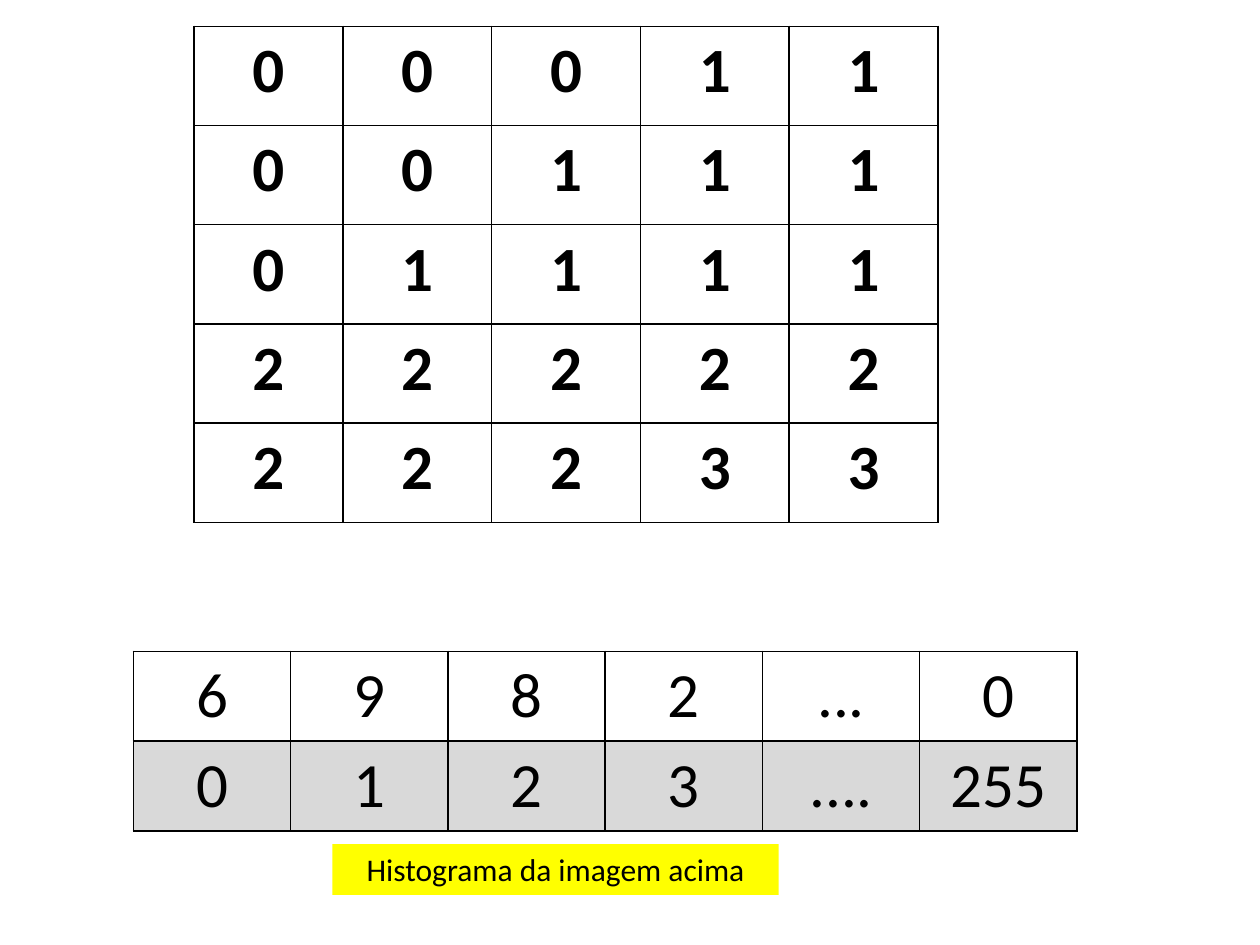
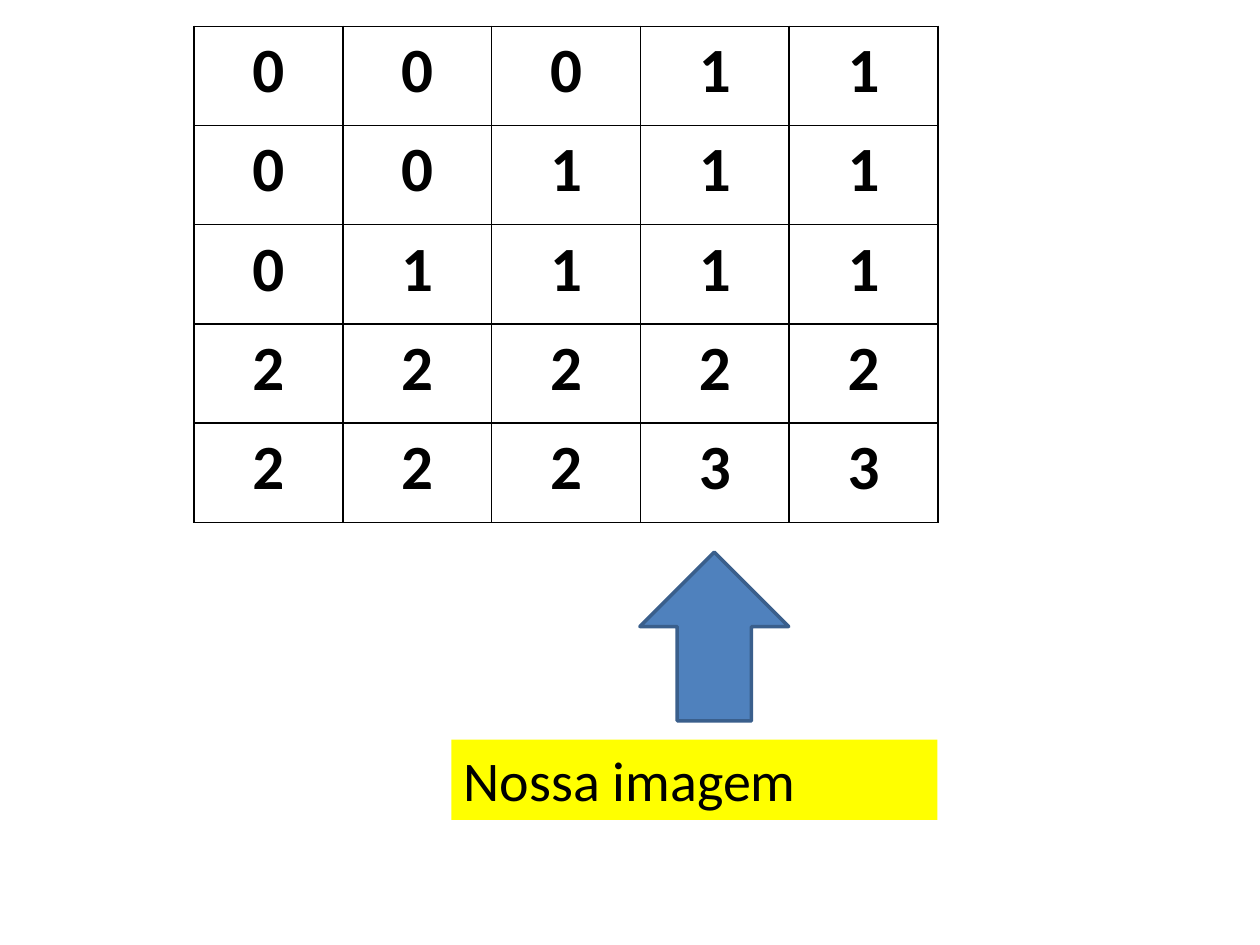
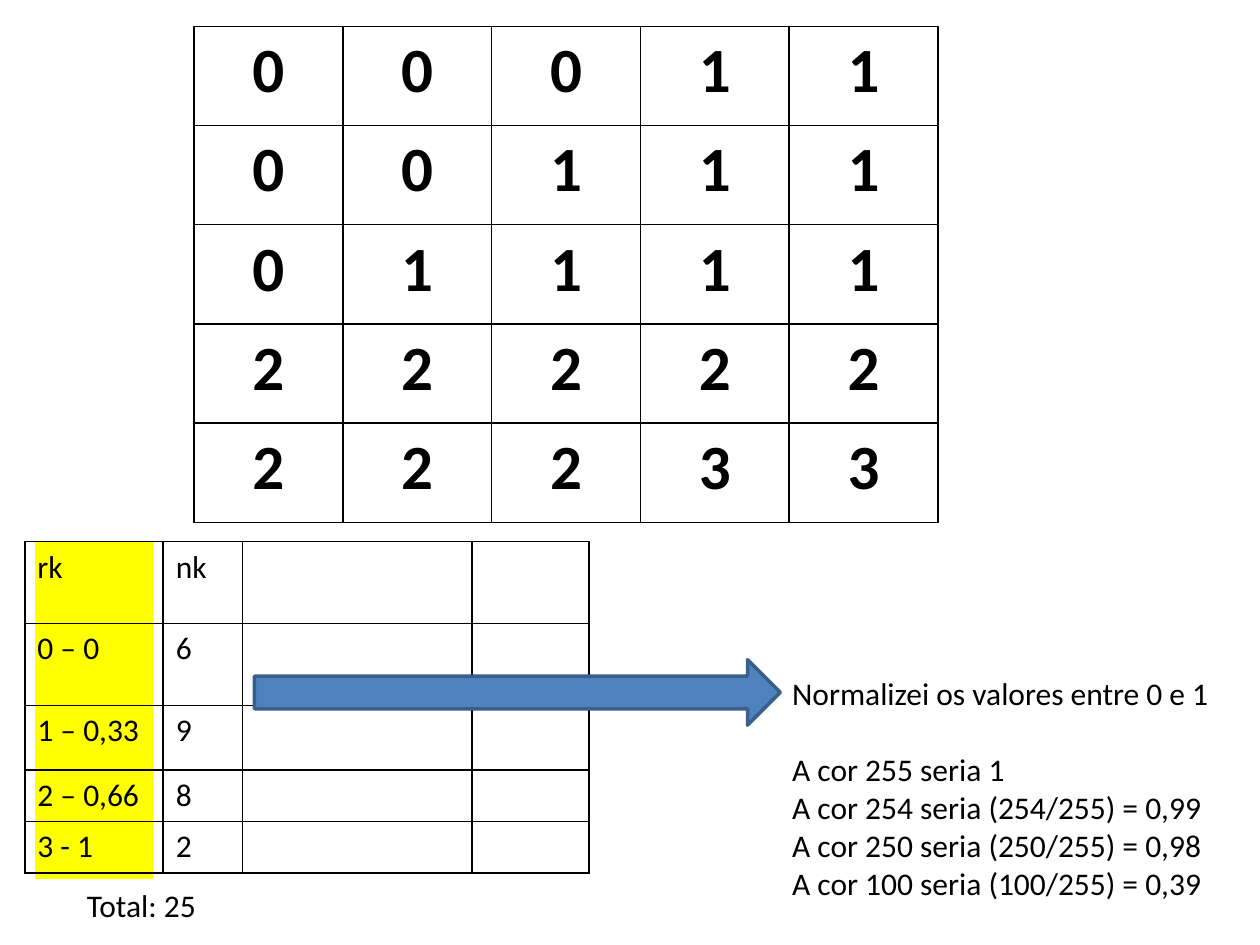
from dataclasses import dataclass

from lxml import etree
from pptx import Presentation
from pptx.dml.color import RGBColor
from pptx.enum.shapes import MSO_SHAPE
from pptx.enum.text import PP_ALIGN
from pptx.oxml.ns import qn
from pptx.util import Cm, Pt

RECT, ARROW = MSO_SHAPE.RECTANGLE, MSO_SHAPE.RIGHT_ARROW
LEFT, MID = PP_ALIGN.LEFT, PP_ALIGN.CENTER
BLANK = 6


@dataclass(frozen=True)
class Theme:
    font: str = "Calibri"
    ink: str = "000000"
    mark: str = "FFFF00"
    grey: str = "D9D9D9"
    blue: str = "4F81BD"
    edge: str = "3A5F8C"
    big: int = 36
    mid: int = 32
    small: int = 18
    line: int = 22


THEME = Theme()

PIXELS = ["00011", "00111", "01111", "22222", "22233"]
COUNTS = [
    ["6", "9", "8", "2", "...", "0"],
    ["0", "1", "2", "3", "....", "255"],
]
LEVELS = [
    ["rk", "nk", "", ""],
    ["0 – 0", "6", "", ""],
    ["1 – 0,33", "9", "", ""],
    ["2 – 0,66", "8", "", ""],
    ["3 - 1", "2", "", ""],
]
LEVEL_COLS = [2.79, 1.6, 4.62, 2.36]
LEVEL_ROWS = [1.65, 1.65, 1.3, 1.04, 1.04]
NOTES = [
    "Normalizei os valores entre 0 e 1",
    "A cor 255 seria 1",
    "A cor 254 seria (254/255) = 0,99",
    "A cor 250 seria (250/255) = 0,98",
    "A cor 100 seria (100/255) = 0,39",
]


def color(code):
    return RGBColor.from_string(code)


def style(para, size, align=LEFT, bold=False):
    para.alignment = align
    font = para.font
    font.name, font.size, font.bold = THEME.font, Pt(size), bold
    font.color.rgb = color(THEME.ink)


def border(cell):
    props = cell._tc.get_or_add_tcPr()
    for side in ("lnL", "lnR", "lnT", "lnB"):
        line = etree.SubElement(props, qn(f"a:{side}"), w=str(Pt(1)))
        fill = etree.SubElement(line, qn("a:solidFill"))
        etree.SubElement(fill, qn("a:srgbClr"), val=THEME.ink)


def add_grid(slide, data, left, top, cols, rows, size,
             align=LEFT, bold=False, fills=None):
    """Draw a ruled table; fills maps a row number to its colour."""
    fills = fills or {}
    frame = slide.shapes.add_table(len(rows), len(cols), Cm(left), Cm(top),
                                   Cm(sum(cols)), Cm(sum(rows)))
    table = frame.table
    table.first_row = table.horz_banding = False
    for col, width in zip(table.columns, cols):
        col.width = Cm(width)
    for row, height in zip(table.rows, rows):
        row.height = Cm(height)
    for r, line in enumerate(data):
        for c, text in enumerate(line):
            cell = table.cell(r, c)
            cell.text = text
            style(cell.text_frame.paragraphs[0], size, align, bold)
            border(cell)
            if r in fills:
                cell.fill.solid()
                cell.fill.fore_color.rgb = color(fills[r])
            else:
                cell.fill.background()


def add_text(slide, lines, box, size, align=LEFT, fill=None):
    shape = slide.shapes.add_textbox(*map(Cm, box))
    if fill:
        shape.fill.solid()
        shape.fill.fore_color.rgb = color(fill)
    frame = shape.text_frame
    frame.word_wrap = True
    frame.text = "\n".join(lines)
    for para in frame.paragraphs:
        style(para, size, align)
    return frame


def add_block(slide, kind, box, fill, edge=None, turn=0):
    shape = slide.shapes.add_shape(kind, *map(Cm, box))
    shape.shadow.inherit = False
    shape.rotation = turn
    shape.fill.solid()
    shape.fill.fore_color.rgb = color(fill)
    if edge:
        shape.line.color.rgb = color(edge)
        shape.line.width = Pt(2)
    else:
        shape.line.fill.background()


def add_arrow(slide, box, turn=0):
    add_block(slide, ARROW, box, THEME.blue, THEME.edge, turn)


def add_pixels(slide):
    add_grid(slide, PIXELS, 3.91, 0.53, [3] * 5, [2] * 5,
             THEME.big, MID, bold=True)


def histogram(slide):
    add_pixels(slide)
    add_grid(slide, COUNTS, 2.69, 13.13, [3.17] * 6, [1.8] * 2,
             THEME.big, MID, fills={1: THEME.grey})
    add_text(slide, ["Histograma da imagem acima"], (6.7, 17.02, 9, 1.02),
             THEME.small, MID, THEME.mark)


def sample(slide):
    add_pixels(slide)
    add_arrow(slide, (12.7, 11.33, 3.4, 3), turn=270)
    add_text(slide, ["Nossa imagem"], (9.1, 14.91, 9.8, 1.62),
             THEME.mid, fill=THEME.mark)


def scaling(slide):
    add_block(slide, RECT, (0.71, 10.92, 2.39, 6.8), THEME.mark)
    add_pixels(slide)
    add_grid(slide, LEVELS, 0.5, 10.92, LEVEL_COLS, LEVEL_ROWS, THEME.small)
    add_text(slide, ["Total: 25"], (1.5, 17.73, 3.2, 1.02), THEME.small)
    add_arrow(slide, (5.13, 13.3, 10.6, 1.32))
    notes = add_text(slide, NOTES, (15.72, 13.46, 9.37, 4.88), THEME.small)
    notes.paragraphs[0].space_after = Pt(THEME.line)


def main():
    deck = Presentation()
    deck.slide_width, deck.slide_height = Cm(25.4), Cm(19.05)
    for draw in (histogram, sample, scaling):
        draw(deck.slides.add_slide(deck.slide_layouts[BLANK]))
    deck.save("out.pptx")


if __name__ == "__main__":
    main()
